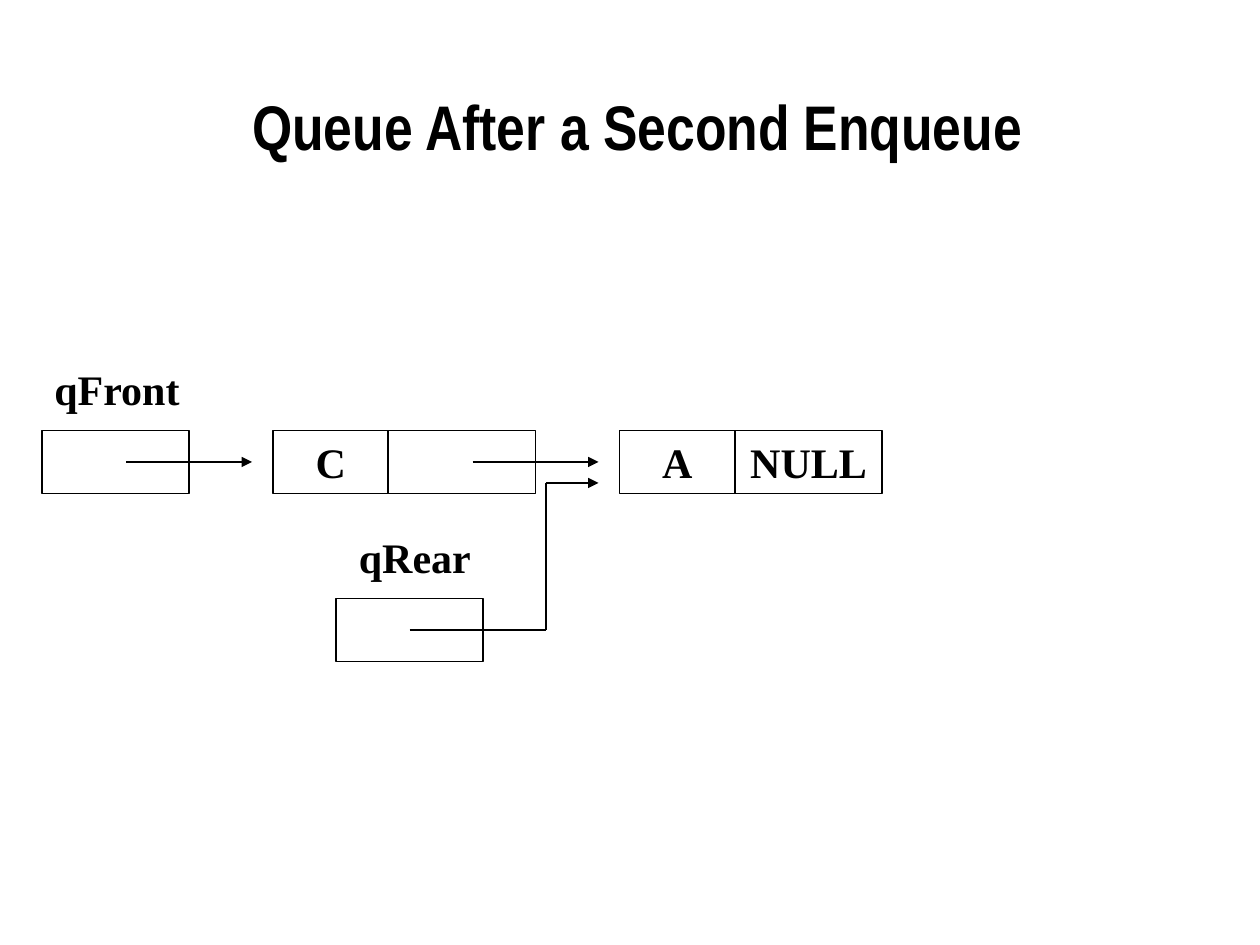
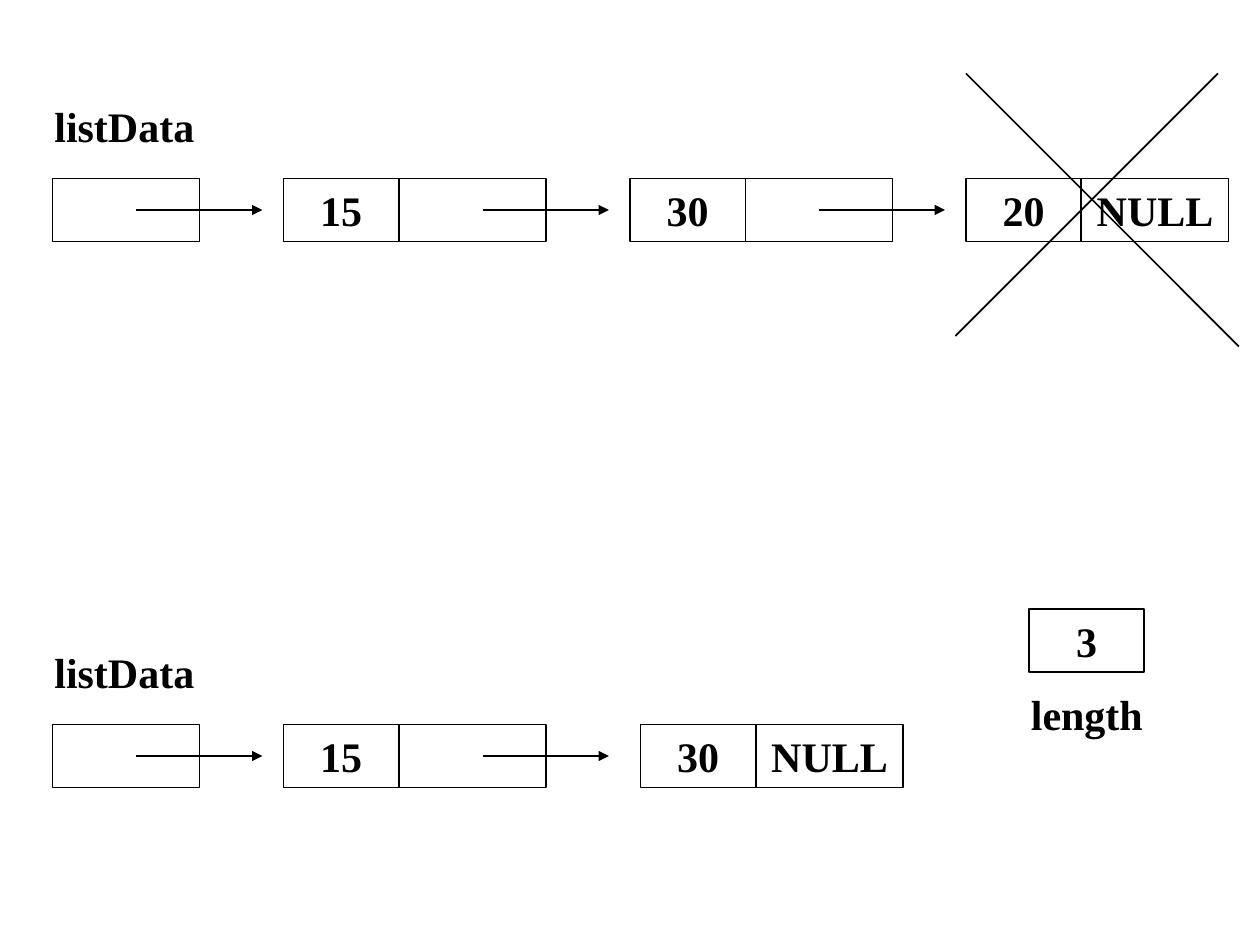
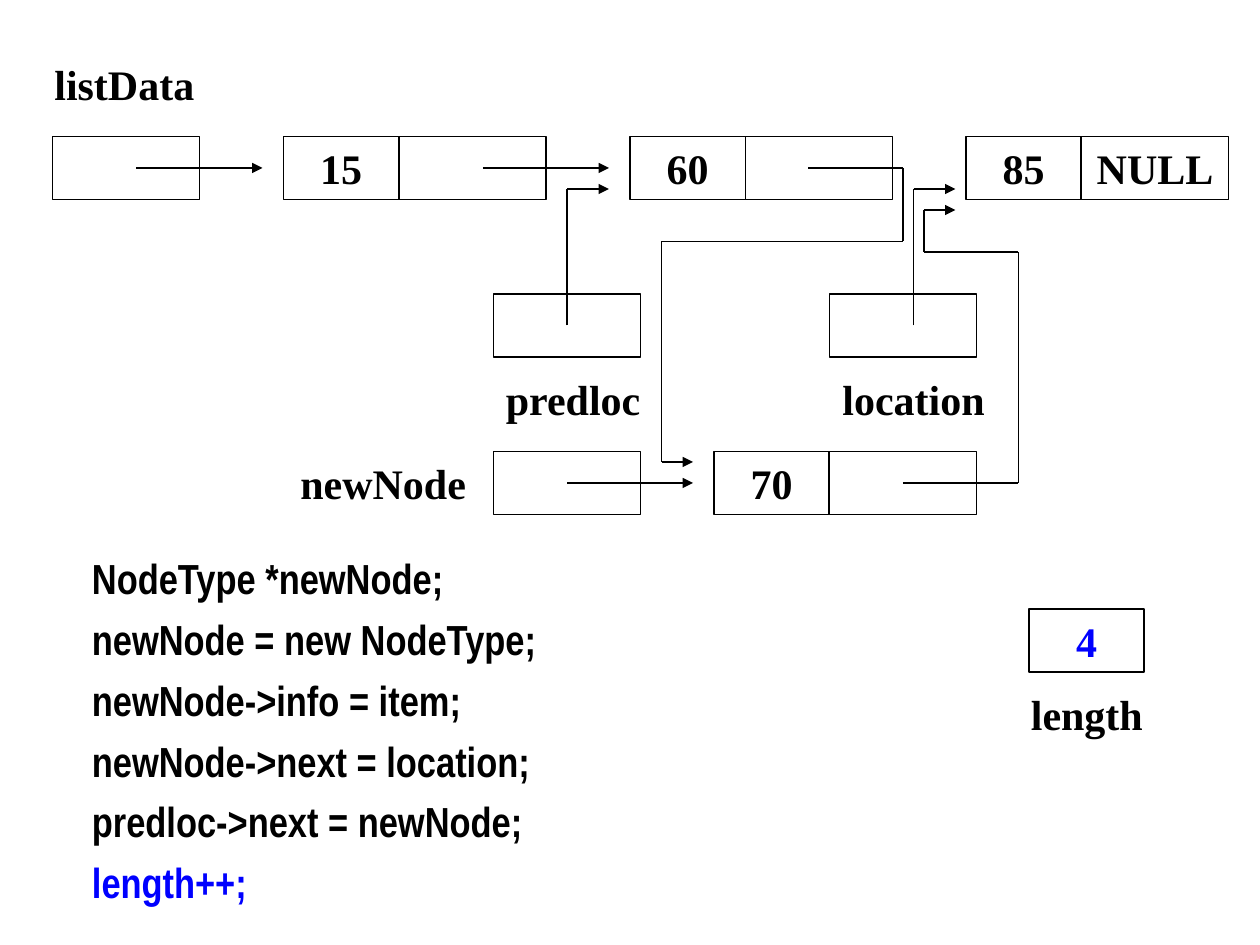
from lxml.etree import SubElement
from pptx import Presentation
from pptx.dml.color import RGBColor
from pptx.enum.shapes import MSO_CONNECTOR, MSO_SHAPE
from pptx.enum.text import MSO_ANCHOR, PP_ALIGN
from pptx.oxml.ns import qn
from pptx.util import Inches, Pt

COLOURS = {"ink": "000000", "paper": "FFFFFF", "accent": "0000FF"}
DIAGRAM_FONT = "Times New Roman"
TEXT_FONT = "Arial Narrow"
LEFT, CENTER = PP_ALIGN.LEFT, PP_ALIGN.CENTER
INFO_WIDTH, LINK_WIDTH, CELL_HEIGHT = 11, 14, 6


def grid(*counts):
    return [Inches(count / 12) for count in counts]


def write(frame, lines, font=DIAGRAM_FONT, size=24, align=LEFT):
    for index, (text, colour) in enumerate(lines):
        para = frame.paragraphs[0] if index == 0 else frame.add_paragraph()
        para.alignment = align
        if index:
            para.space_before = Pt(6)
        span = para.add_run()
        span.text = text
        span.font.name = font
        span.font.size = Pt(size)
        span.font.bold = True
        span.font.color.rgb = RGBColor.from_string(COLOURS[colour])


# Positions in the diagrams count twelfths of an inch.
second_enqueue = {
    "pointers": [(4, 41), (32, 57)],
    "nodes": [(26, 41, "C", ""), (59, 41, "A", "NULL")],
    "labels": [("qFront", 4, 34, 18, LEFT), ("qRear", 33, 50, 18, LEFT)],
    "arrows": [
        [(45, 44), (57, 44)],
        [(12, 44), (24, 44)],
        [(39, 60), (52, 60), (52, 46), (57, 46)],
    ],
}
delete_last = {
    "pointers": [(5, 17), (5, 69)],
    "nodes": [
        (27, 17, "15", ""), (60, 17, "30", ""), (92, 17, "20", "NULL"),
        (27, 69, "15", ""), (61, 69, "30", "NULL"),
    ],
    "labels": [("listData", 4, 9, 18, LEFT), ("listData", 4, 61, 18, LEFT)],
    "arrows": [
        [(13, 20), (25, 20)],
        [(46, 20), (58, 20)],
        [(78, 20), (90, 20)],
        [(13, 72), (25, 72)],
        [(46, 72), (58, 72)],
    ],
    "strokes": [[(116, 7), (91, 32)], [(92, 7), (118, 33)]],
    "length": ("3", "ink"),
}
insert_node = {
    "pointers": [(5, 13), (47, 28), (79, 28), (47, 43)],
    "nodes": [
        (27, 13, "15", ""), (60, 13, "60", ""), (92, 13, "85", "NULL"),
        (68, 43, "70", ""),
    ],
    "labels": [
        ("listData", 4, 5, 18, LEFT), ("predloc", 47, 35, 17, LEFT),
        ("location", 73, 35, 28, CENTER), ("newNode", 27, 43, 19, CENTER),
    ],
    "arrows": [
        [(13, 16), (25, 16)],
        [(46, 16), (58, 16)],
        [(54, 31), (54, 18), (58, 18)],
        [(87, 31), (87, 18), (91, 18)],
        [(54, 46), (66, 46)],
        [(86, 46), (97, 46), (97, 24), (88, 24), (88, 20), (91, 20)],
        [(77, 16), (86, 16), (86, 23), (63, 23), (63, 44), (66, 44)],
    ],
    "length": ("4", "accent"),
}

deck = Presentation()
deck.slide_width, deck.slide_height = Inches(10), Inches(7.5)
pages = []

for diagram in (second_enqueue, delete_last, insert_node):
    page = deck.slides.add_slide(deck.slide_layouts[6])
    pages.append(page)

    cells = [(left, top, LINK_WIDTH, "", "ink") for left, top in diagram["pointers"]]
    for left, top, info, link in diagram["nodes"]:
        cells.append((left, top, INFO_WIDTH, info, "ink"))
        cells.append((left + INFO_WIDTH, top, LINK_WIDTH, link, "ink"))
    labels = list(diagram["labels"])
    if "length" in diagram:
        cells.append((98, 58, INFO_WIDTH, *diagram["length"]))
        labels.append(("length", 97, 65, 17, LEFT))

    for left, top, width, text, colour in cells:
        cell = page.shapes.add_shape(
            MSO_SHAPE.RECTANGLE, *grid(left, top, width, CELL_HEIGHT))
        cell.shadow.inherit = False
        cell.fill.solid()
        cell.fill.fore_color.rgb = RGBColor.from_string(COLOURS["paper"])
        cell.line.color.rgb = RGBColor.from_string(COLOURS["ink"])
        cell.line.width = Pt(1)
        if text:
            cell.text_frame.word_wrap = False
            cell.text_frame.vertical_anchor = MSO_ANCHOR.MIDDLE
            write(cell.text_frame, [(text, colour)], align=CENTER)

    for text, left, top, width, align in labels:
        label = page.shapes.add_textbox(*grid(left, top, width, CELL_HEIGHT))
        label.text_frame.word_wrap = True
        write(label.text_frame, [(text, "ink")], align=align)

    routes = [(route, True) for route in diagram["arrows"]]
    routes += [(route, False) for route in diagram.get("strokes", [])]
    for route, pointed in routes:
        for start, end in zip(route, route[1:]):
            line = page.shapes.add_connector(
                MSO_CONNECTOR.STRAIGHT, *grid(*start, *end))
            line.line.color.rgb = RGBColor.from_string(COLOURS["ink"])
            line.line.width = Pt(1)
            if pointed and end == route[-1]:
                SubElement(line.line._get_or_add_ln(), qn("a:tailEnd"), type="triangle")
            SubElement(line._element.spPr, qn("a:effectLst"))

title = pages[0].shapes.add_textbox(Inches(0.33), Inches(0.37), Inches(9.46), Inches(1.25))
title.text_frame.word_wrap = True
title.text_frame.vertical_anchor = MSO_ANCHOR.MIDDLE
write(title.text_frame, [("Queue After a Second Enqueue", "ink")], TEXT_FONT, 36, CENTER)

code = pages[2].shapes.add_textbox(Inches(0.25), Inches(3.67), Inches(9.24), Inches(3.58))
code.text_frame.word_wrap = True
code.text_frame.vertical_anchor = MSO_ANCHOR.BOTTOM
code.text_frame.margin_left = Inches(0.48)
write(code.text_frame, [
    ("NodeType *newNode;", "ink"),
    ("newNode = new NodeType;", "ink"),
    ("newNode->info = item;", "ink"),
    ("newNode->next = location;", "ink"),
    ("predloc->next = newNode;", "ink"),
    ("length++;", "accent"),
], TEXT_FONT)

deck.save("out.pptx")
